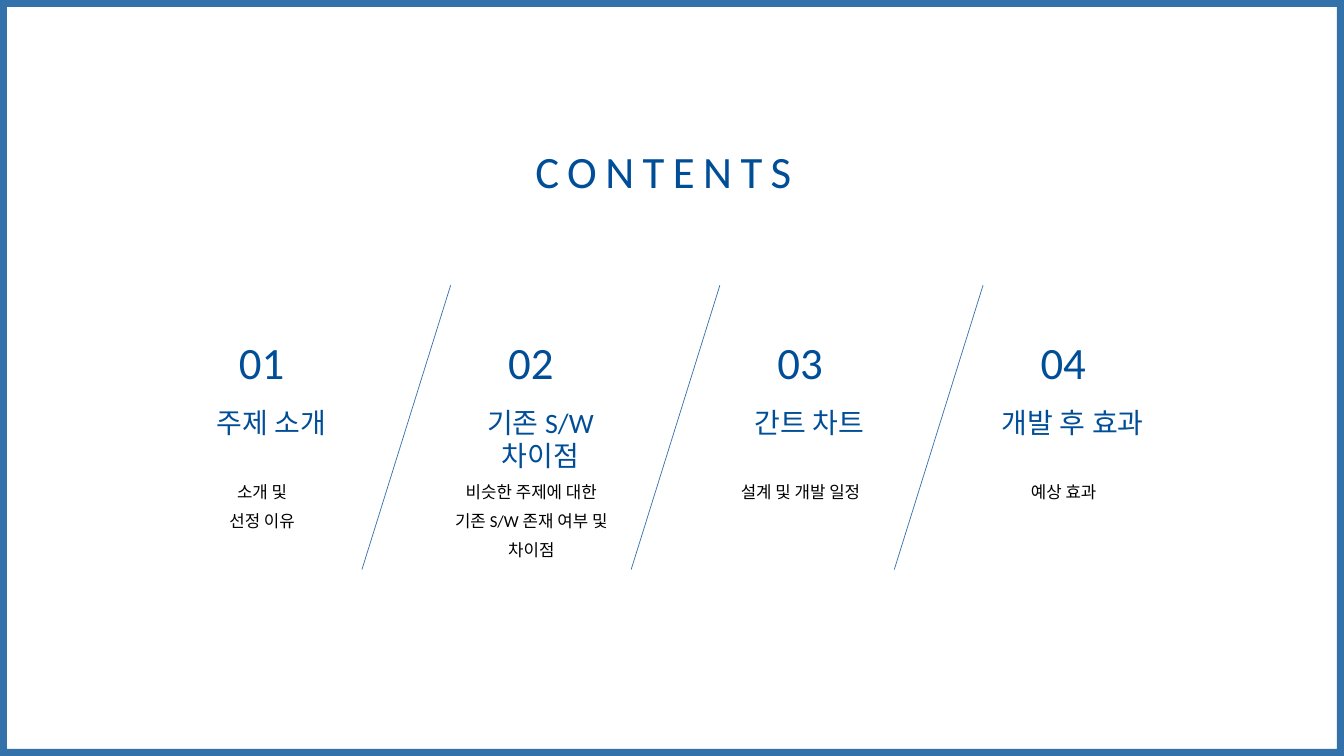
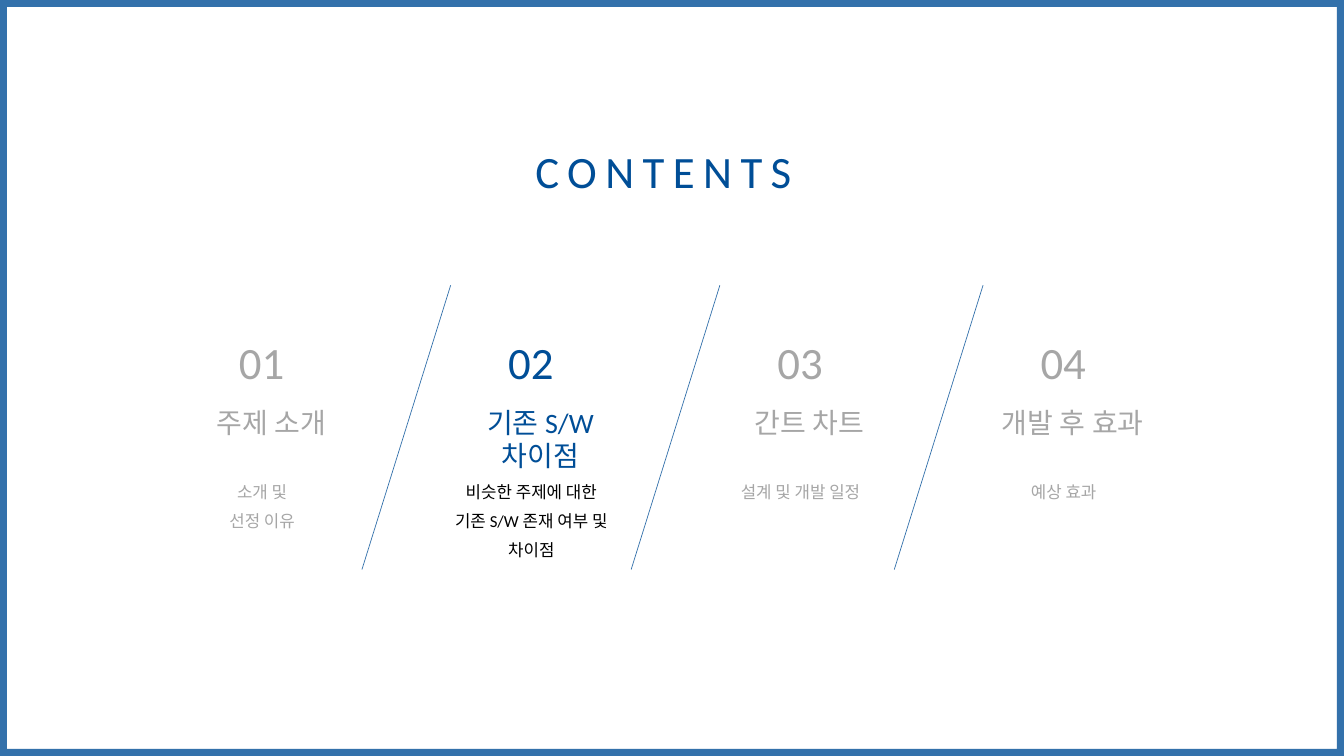
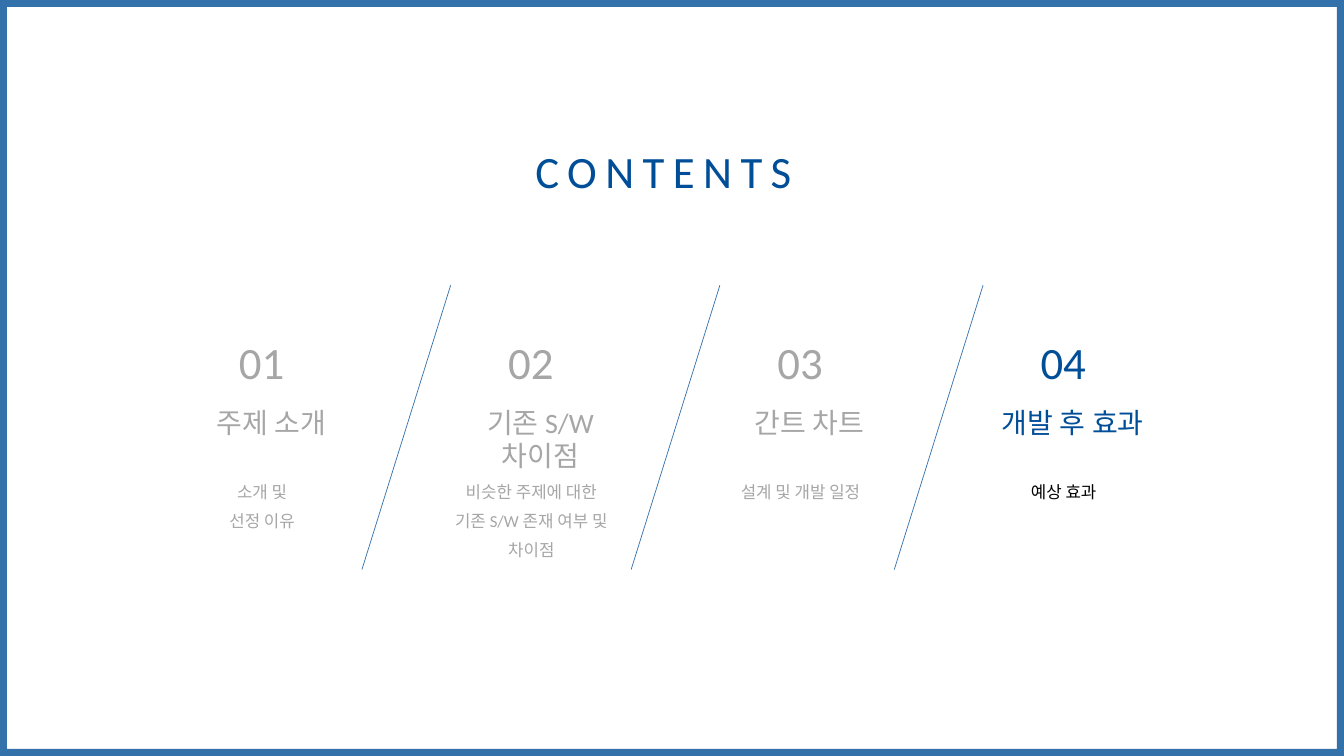
"""Builds three contents pages that highlight different sections."""
from lxml import etree
from pptx import Presentation
from pptx.dml.color import RGBColor
from pptx.enum import shapes, text
from pptx.oxml import ns
from pptx.util import Inches, Pt

NAVY = RGBColor(0x00, 0x4E, 0x97)
GRAY = RGBColor(0xA6, 0xA6, 0xA6)
BLACK = RGBColor(0x00, 0x00, 0x00)
FONT = "Calibri"
WIDTH, HEIGHT = 13.33, 7.5

SECTIONS = [
    (1.8, "01", ["주제 소개"], ["소개 및", "선정 이유"]),
    (4.47, "02", ["기존 S/W", "차이점"],
     ["비슷한 주제에 대한", "기존 S/W 존재 여부 및", "차이점"]),
    (7.14, "03", ["간트 차트"], ["설계 및 개발 일정"]),
    (9.75, "04", ["개발 후 효과"], ["예상 효과"]),
]
HIGHLIGHTS = [{"01", "02", "03", "04"}, {"02"}, {"04"}]


def write(box, lines, size, color, align=text.PP_ALIGN.CENTER, spacing=None,
          before=0, tracking=None, outline=False):
    """Fill a box with one paragraph per line in the given format."""
    frame = box.text_frame
    frame.margin_left = frame.margin_right = 0
    frame.margin_top = frame.margin_bottom = 0
    frame.word_wrap = True
    frame.auto_size = text.MSO_AUTO_SIZE.SHAPE_TO_FIT_TEXT
    frame.vertical_anchor = text.MSO_ANCHOR.TOP
    for index, line in enumerate(lines):
        para = frame.add_paragraph() if index else frame.paragraphs[0]
        para.alignment = align
        para.line_spacing = spacing
        para.space_before = Pt(before if index else 0)
        span = para.add_run()
        span.text = line
        span.font.size = Pt(size)
        span.font.name = FONT
        span.font.color.rgb = color
        props = span.font._element
        etree.SubElement(props, ns.qn("a:ea"), typeface=FONT)
        if tracking:
            props.set("spc", str(tracking * 100))
        if outline:
            edge = etree.Element(ns.qn("a:ln"), w=str(Pt(0.75)))
            fill = etree.SubElement(edge, ns.qn("a:solidFill"))
            etree.SubElement(fill, ns.qn("a:srgbClr"), val=str(color))
            props.insert(0, edge)


class Contents:
    """Holds the deck, its style and the current page."""

    def __init__(self):
        """Start an empty wide deck."""
        self.deck = Presentation()
        self.deck.slide_width = Inches(WIDTH)
        self.deck.slide_height = Inches(HEIGHT)
        self.page = None

    def add_page(self):
        """Start a page with the shared title and frame."""
        self.page = self.deck.slides.add_slide(self.deck.slide_layouts[5])
        self.title("CONTENTS")
        self.frame()

    def title(self, words):
        """Place the widely spaced page title."""
        box = self.page.shapes.title
        box.left, box.top = Inches(1.21), Inches(1.43)
        box.width, box.height = Inches(10.74), Inches(0.54)
        write(box, [words], 32, NAVY, tracking=6)

    def stroke(self, shape, width):
        """Give a shape the slightly transparent navy line."""
        shape.line.width = Pt(width)
        shape.line.color.rgb = NAVY
        color = shape._element.find(
            f".//{ns.qn('a:ln')}/{ns.qn('a:solidFill')}/{ns.qn('a:srgbClr')}")
        etree.SubElement(color, ns.qn("a:alpha"), val="80000")

    def frame(self):
        """Draw the border around the page."""
        border = self.page.shapes.add_shape(
            shapes.MSO_SHAPE.RECTANGLE, 0, 0, Inches(WIDTH), Inches(HEIGHT))
        border.shadow.inherit = False
        border.fill.background()
        self.stroke(border, 10)

    def label(self, left, top, width, height, lines, size, color, **style):
        """Add a text box."""
        box = self.page.shapes.add_textbox(
            Inches(left), Inches(top), Inches(width), Inches(height))
        write(box, lines, size, color, **style)

    def divider(self, left):
        """Draw a slanted line ahead of a section."""
        line = self.page.shapes.add_connector(
            shapes.MSO_CONNECTOR.STRAIGHT, Inches(left), Inches(2.83),
            Inches(left - 0.88), Inches(5.65))
        self.stroke(line, 0.5)
        etree.SubElement(line._element.spPr, ns.qn("a:effectLst"))

    def section(self, left, number, heading, details, active):
        """Add the number, heading and details of one section."""
        accent, body = (NAVY, BLACK) if active else (GRAY, GRAY)
        self.label(left + 0.57, 3.32, 1.22, 0.54, [number], 32, accent,
                   align=text.PP_ALIGN.LEFT, outline=active)
        self.label(left, 4.02, 1.78, 0.34 * len(heading), heading, 20, accent)
        self.label(left - 0.09, 4.72, 1.78, 0.28 * len(details), details, 12,
                   body, spacing=1.3, before=2)


def main():
    """Build and save the deck."""
    contents = Contents()
    for active in HIGHLIGHTS:
        contents.add_page()
        for index, (left, number, heading, details) in enumerate(SECTIONS):
            if index:
                contents.divider(left)
            contents.section(left, number, heading, details, number in active)
    contents.deck.save("out.pptx")


if __name__ == "__main__":
    main()
